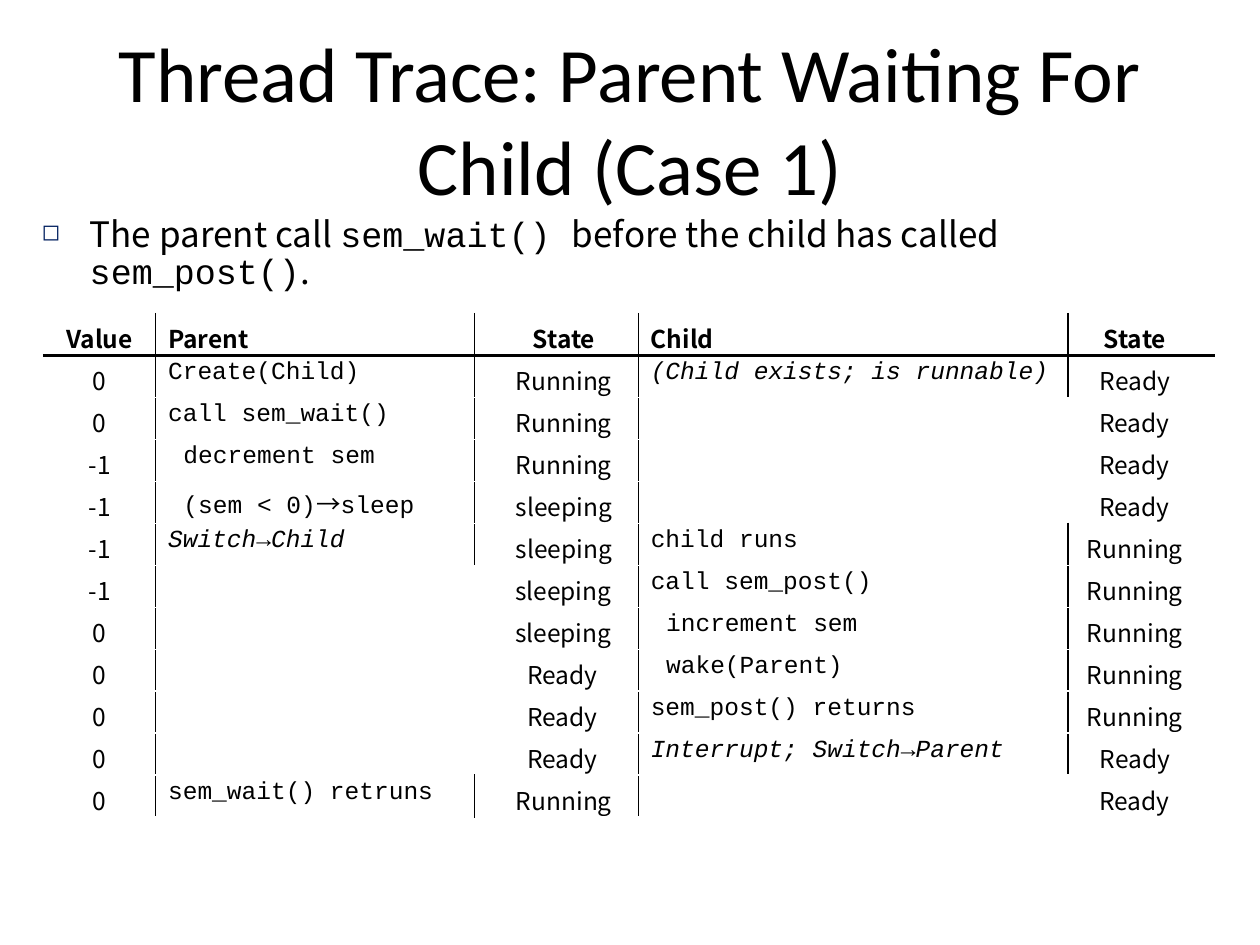
from lxml import etree
from pptx import Presentation
from pptx.dml.color import RGBColor
from pptx.enum.text import MSO_ANCHOR, PP_ALIGN as AL
from pptx.oxml.ns import qn
from pptx.util import Cm, Pt

COLORS = {"ink": "000000", "paper": "FFFFFF", "bullet": "001F5F"}
SANS, MONO = "Noto Sans CJK KR", "Courier New"


def add_run(p, text, font, size, bold=False, italic=False):
    r = p.add_run()
    r.text = text
    r.font.name, r.font.size = font, Pt(size)
    r.font.bold, r.font.italic = bold, italic
    r.font.color.rgb = RGBColor.from_string(COLORS["ink"])
    etree.SubElement(r.font._element, qn("a:ea"), typeface=font)


def set_borders(cell, sides):
    """Draw cell borders; sides holds (color, width in points) for L, R, T, B."""
    tc_pr = cell._tc.get_or_add_tcPr()
    for i, (side, (color, width)) in enumerate(zip("LRTB", sides)):
        ln = etree.Element(qn(f"a:ln{side}"), w=str(Pt(width)))
        fill = etree.SubElement(ln, qn("a:solidFill"))
        etree.SubElement(fill, qn("a:srgbClr"), val=COLORS[color])
        tc_pr.insert(i, ln)


prs = Presentation()
prs.slide_width, prs.slide_height = Cm(25.4), Cm(19.05)
s = prs.slides.add_slide(prs.slide_layouts[6])

# Title and bullet
frames = []
for left, top, width, height in [(1.27, 0.46, 22.86, 3.81), (0.81, 4.37, 23.7, 0.91)]:
    tf = s.shapes.add_textbox(Cm(left), Cm(top), Cm(width), Cm(height)).text_frame
    tf.word_wrap = True
    tf.margin_left = tf.margin_right = tf.margin_bottom = 0
    tf.margin_top = Cm(0.03)
    frames.append(tf)
title, body = frames

title.vertical_anchor = MSO_ANCHOR.MIDDLE
p = title.paragraphs[0]
p.alignment = AL.CENTER
add_run(p, "Thread Trace: Parent Waiting For Child (Case 1)", "Calibri", 44)

p = body.paragraphs[0]
p.line_spacing = 0.87
p_pr = p._p.get_or_add_pPr()
p_pr.set("marL", str(Cm(1)))
p_pr.set("indent", str(-Cm(0.97)))
bullet_color = etree.SubElement(p_pr, qn("a:buClr"))
etree.SubElement(bullet_color, qn("a:srgbClr"), val=COLORS["bullet"])
etree.SubElement(p_pr, qn("a:buSzPct"), val="65000")
etree.SubElement(p_pr, qn("a:buChar"), char="◻")
for text, font in [
    ("The parent call ", SANS),
    ("sem_wait() ", MONO),
    ("before the child has called ", SANS),
    ("sem_post()", MONO),
    (".", SANS),
]:
    add_run(p, text, font, 20)

# Trace table: an empty action is merged with the state to its right
TRACE = [
    ("Value", "Parent", "State", "Child", "State"),
    ("0", "Create(Child)", "Running", "(Child exists; is runnable)", "Ready"),
    ("0", "call sem_wait()", "Running", "", "Ready"),
    ("-1", "decrement sem", "Running", "", "Ready"),
    ("-1", "(sem < 0)→sleep", "sleeping", "", "Ready"),
    ("-1", "Switch→Child", "sleeping", "child runs", "Running"),
    ("-1", "", "sleeping", "call sem_post()", "Running"),
    ("0", "", "sleeping", "increment sem", "Running"),
    ("0", "", "Ready", "wake(Parent)", "Running"),
    ("0", "", "Ready", "sem_post() returns", "Running"),
    ("0", "", "Ready", "Interrupt; Switch→Parent", "Ready"),
    ("0", "sem_wait() retruns", "Running", "", "Ready"),
]
ITALIC = {"(Child exists; is runnable)", "Switch→Child", "Interrupt; Switch→Parent"}
NESTED = {"decrement sem", "(sem < 0)→sleep", "increment sem", "wake(Parent)"}
MERGED_RIGHT = {(1, "sleeping"): 0.54, (1, "Ready"): 0.82, (3, "Ready"): 0.9}
COL_WIDTHS = [2.26, 6.43, 3.3, 8.66, 2.95]
LAST = len(COL_WIDTHS) - 1

frame = s.shapes.add_table(
    len(TRACE), len(COL_WIDTHS), Cm(0.88), Cm(6.32), Cm(sum(COL_WIDTHS)), Cm(10.16)
)
table = frame.table
table.first_row = table.horz_banding = False
for col, width in zip(table.columns, COL_WIDTHS):
    col.width = Cm(width)

for i, values in enumerate(TRACE):
    table.rows[i].height = Cm(10.16 / len(TRACE))
    for j, text in enumerate(values):
        cell = table.cell(i, j)
        cell.fill.background()
        cell.margin_left = cell.margin_right = cell.margin_bottom = 0
        cell.margin_top = Cm(0.13)
        if cell.is_spanned:
            continue
        p = cell.text_frame.paragraphs[0]
        is_action = j in (1, 3)
        end = j
        if not text:
            end, text = j + 1, values[j + 1]
            cell.merge(table.cell(i, end))
            p.alignment = AL.RIGHT
            cell.margin_right = Cm(MERGED_RIGHT[j, text])
        elif is_action:
            cell.margin_left = Cm(0.56 if text in NESTED else 0.25)
        else:
            p.alignment = AL.CENTER
            cell.margin_left = Cm(0.3 if j == 2 else 0)
            cell.margin_right = Cm(0.25 if j == LAST else 0)

        if i and is_action and end == j:
            cell.margin_top = Cm(0.08)
            italic = text in ITALIC
            before, arrow, after = text.partition("→")
            for part, font in [(before, MONO), (arrow, MONO if italic else SANS), (after, MONO)]:
                if part:
                    add_run(p, part, font, 14, italic=italic)
        else:
            add_run(p, text, SANS, 14, bold=i == 0)

        set_borders(cell, [
            ("ink" if j else "paper", 1),
            ("ink" if end < LAST else "paper", 1),
            ("ink", 1.5) if i == 1 else ("paper", 1),
            ("ink", 1.5) if i == 0 else ("paper", 1),
        ])

prs.save("out.pptx")
